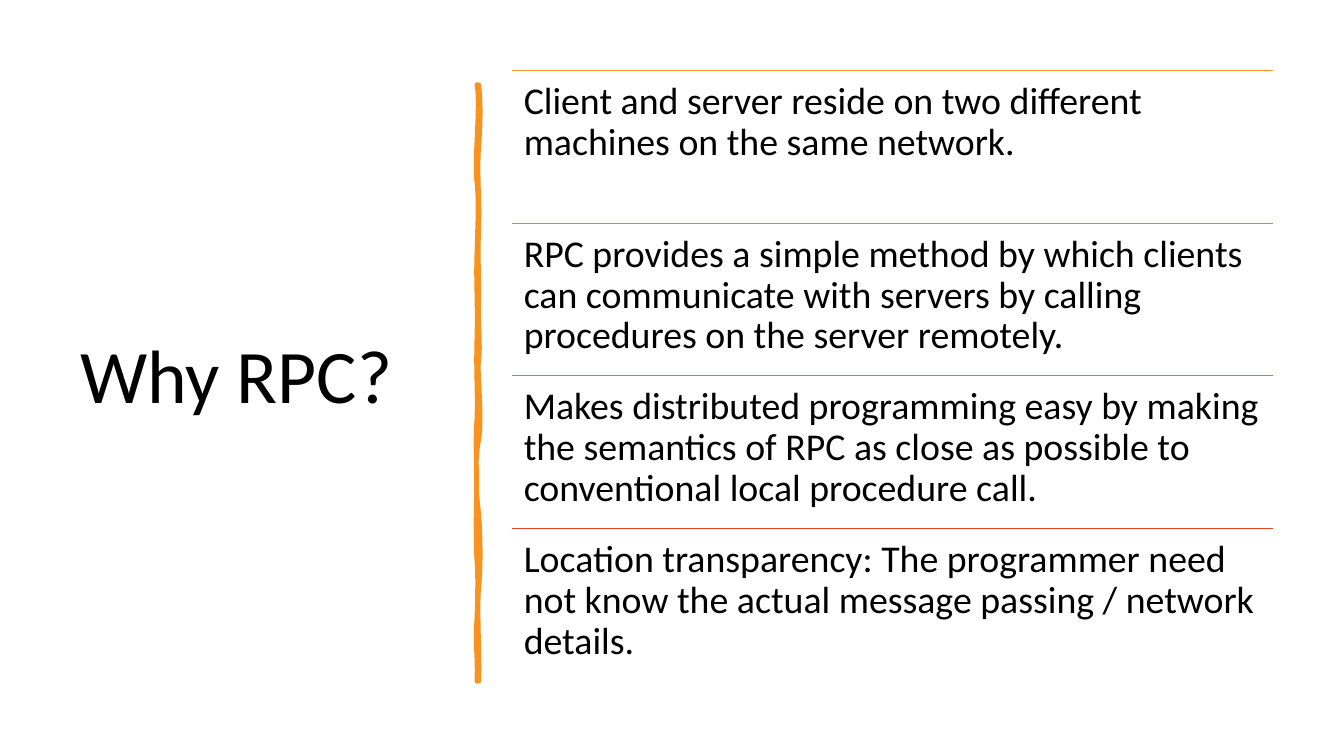
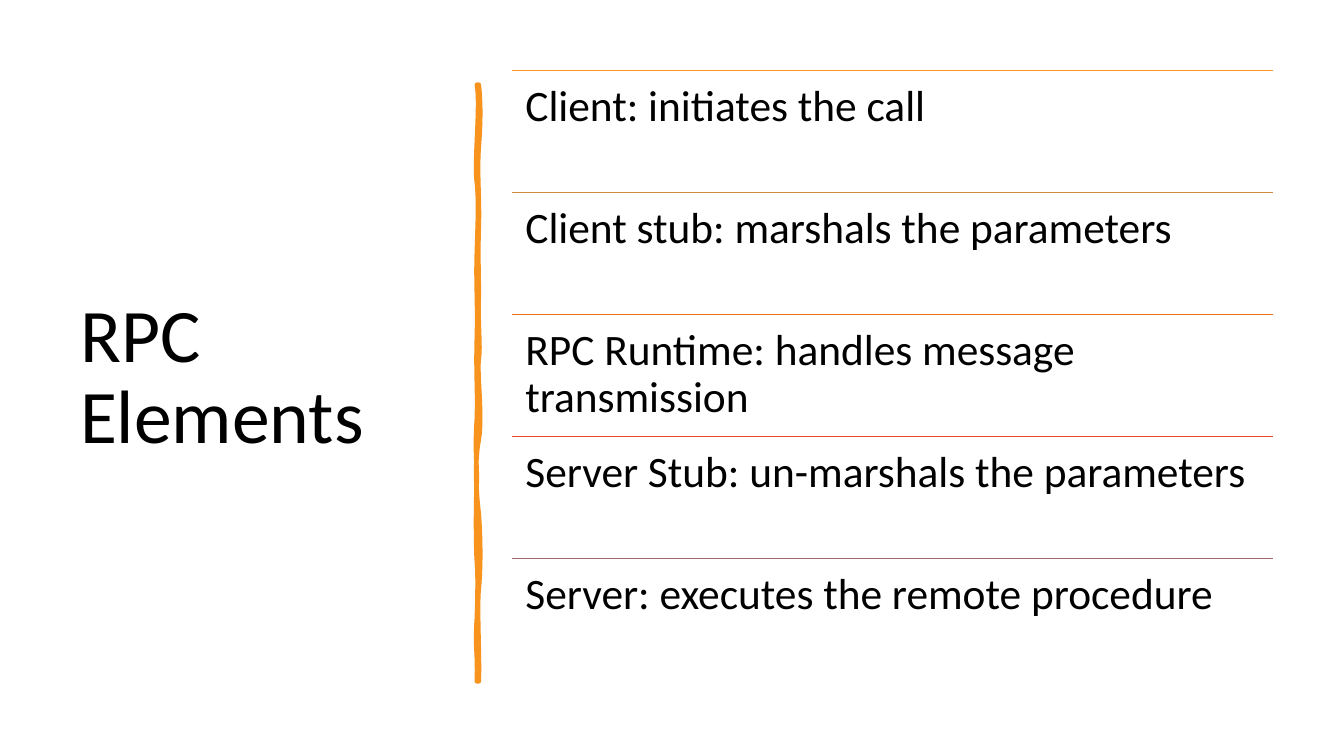
from dataclasses import dataclass

from lxml import etree
from pptx import Presentation
from pptx.dml.color import RGBColor
from pptx.enum.shapes import MSO_CONNECTOR
from pptx.enum.text import MSO_ANCHOR, MSO_AUTO_SIZE, PP_ALIGN
from pptx.oxml.ns import qn
from pptx.util import Pt

STRAIGHT = MSO_CONNECTOR.STRAIGHT
TOP, MIDDLE = MSO_ANCHOR.TOP, MSO_ANCHOR.MIDDLE
NO_AUTOFIT = MSO_AUTO_SIZE.NONE
LEFT = PP_ALIGN.LEFT
TITLE_ONLY = 5


@dataclass(frozen=True)
class Theme:
    font: str = "Calibri"
    text: RGBColor = RGBColor.from_string("000000")
    background: RGBColor = RGBColor.from_string("FFFFFF")
    accent: RGBColor = RGBColor.from_string("F8931D")
    rules: tuple = ("F8931D", "CE8D3E", "EC7016", "E64823", "9C6A6A")
    title_size: float = 54
    line_spacing: float = 0.9
    rule_width: float = 1
    brush_width: float = 3.25


THEME = Theme()

# Layout, in points
SLIDE_WIDTH, SLIDE_HEIGHT = 960, 540
TITLE_BOX = (50, 50.4, 269.3, 439.9)
LIST_LEFT, LIST_TOP, LIST_WIDTH, LIST_HEIGHT = 366, 50.5, 543.6, 435.8
INSET_PER_SIZE = 0.3

# Brush stroke: start, then Bezier curves (two controls and an end), in points
BRUSH_START = (342, 60.5)
BRUSH_CURVES = (
    # Down the right edge
    ((343.4, 73.4), (343.4, 85.7), (342, 105.1)),
    ((340.6, 124.6), (342.7, 140.4), (342, 162.7)),
    ((341.3, 185), (342, 188.6), (342, 211.7)),
    ((341.3, 234), (343.4, 246.2), (342, 256.3)),
    ((340.6, 266.4), (344.9, 298.1), (342, 313.9)),
    ((339.1, 329), (339.8, 348.5), (342, 367.2)),
    ((343.4, 385.9), (343.4, 406.1), (342, 420.5)),
    ((340.6, 434.2), (342.7, 468), (342, 486.7)),
    # Up the left edge
    ((341.3, 486.7), (340.6, 486.7), (340.6, 486.7)),
    ((341.3, 465.1), (339.1, 463.7), (340.6, 441.4)),
    ((341.3, 419.8), (341.3, 410.4), (340.6, 401)),
    ((339.8, 391.7), (339.8, 356.4), (340.6, 343.4)),
    ((340.6, 330.5), (339.1, 320.4), (340.6, 298.8)),
    ((341.3, 277.9), (339.8, 268.6), (340.6, 241.2)),
    ((341.3, 214.6), (339.8, 202.3), (340.6, 180)),
    ((341.3, 157), (342, 144), (340.6, 130.3)),
    ((338.4, 117.4), (343.4, 74.9), (340.6, 60.5)),
)

# Content: title, text size, list items
SLIDES = (
    ("Why RPC?", 27, (
        "Client and server reside on two different machines on the same network.",
        "RPC provides a simple method by which clients can communicate with "
        "servers by calling procedures on the server remotely.",
        "Makes distributed programming easy by making the semantics of RPC as "
        "close as possible to conventional local procedure call.",
        "Location transparency: The programmer need not know the actual message "
        "passing / network details.",
    )),
    ("RPC Elements", 31, (
        "Client: initiates the call",
        "Client stub: marshals the parameters",
        "RPC Runtime: handles message transmission",
        "Server Stub: un-marshals the parameters",
        "Server: executes the remote procedure",
    )),
)


def write_text(shape, text, size, anchor):
    """Fill a shape with one left-aligned paragraph in the theme font."""
    frame = shape.text_frame
    frame.text = text
    frame.word_wrap = True
    frame.auto_size = NO_AUTOFIT
    frame.vertical_anchor = anchor
    paragraph = frame.paragraphs[0]
    paragraph.alignment = LEFT
    paragraph.line_spacing = THEME.line_spacing
    paragraph.font.name = THEME.font
    paragraph.font.size = Pt(size)
    paragraph.font.color.rgb = THEME.text
    return frame


def add_title(slide, text):
    title = slide.shapes.title
    title.left, title.top, title.width, title.height = map(Pt, TITLE_BOX)
    write_text(title, text, THEME.title_size, MIDDLE)


def bend_segments(shape, curves):
    """Turn the straight segments of a freeform into Bezier curves."""
    segments = list(shape._element.iter(qn("a:lnTo")))
    for segment, (first, second, _) in zip(segments, curves):
        segment.tag = qn("a:cubicBezTo")
        for position, (x, y) in enumerate((first, second)):
            control = etree.Element(qn("a:pt"))
            control.set("x", str(Pt(x) - shape.left))
            control.set("y", str(Pt(y) - shape.top))
            segment.insert(position, control)


def add_brush_stroke(slide):
    builder = slide.shapes.build_freeform(*map(Pt, BRUSH_START))
    ends = [tuple(map(Pt, end)) for _, _, end in BRUSH_CURVES]
    builder.add_line_segments(ends, close=False)
    builder.add_line_segments([], close=True)
    brush = builder.convert_to_shape()
    bend_segments(brush, BRUSH_CURVES)
    brush.shadow.inherit = False
    brush.fill.solid()
    brush.fill.fore_color.rgb = THEME.accent
    brush.line.color.rgb = THEME.accent
    brush.line.width = Pt(THEME.brush_width)
    outline = brush._element.spPr.find(qn("a:ln"))
    etree.SubElement(outline, qn("a:round"))


def add_rule(slide, top, color):
    rule = slide.shapes.add_connector(
        STRAIGHT, Pt(LIST_LEFT), Pt(top), Pt(LIST_LEFT + LIST_WIDTH), Pt(top))
    rule.line.color.rgb = RGBColor.from_string(color)
    rule.line.width = Pt(THEME.rule_width)
    etree.SubElement(rule._element.spPr, qn("a:effectLst"))


def add_ruled_list(slide, items, size):
    """Stack items in equal rows, each under a coloured rule."""
    row_height = LIST_HEIGHT / len(items)
    inset = Pt(INSET_PER_SIZE * size)
    for row, (item, color) in enumerate(zip(items, THEME.rules)):
        top = LIST_TOP + row * row_height
        add_rule(slide, top, color)
        box = slide.shapes.add_textbox(
            Pt(LIST_LEFT), Pt(top), Pt(LIST_WIDTH), Pt(row_height))
        frame = write_text(box, item, size, TOP)
        frame.margin_left = frame.margin_right = inset
        frame.margin_top = frame.margin_bottom = inset


def main():
    presentation = Presentation()
    presentation.slide_width = Pt(SLIDE_WIDTH)
    presentation.slide_height = Pt(SLIDE_HEIGHT)
    background = presentation.slide_master.background.fill
    background.solid()
    background.fore_color.rgb = THEME.background
    layout = presentation.slide_layouts[TITLE_ONLY]
    for title, size, items in SLIDES:
        slide = presentation.slides.add_slide(layout)
        add_title(slide, title)
        add_brush_stroke(slide)
        add_ruled_list(slide, items, size)
    presentation.save("out.pptx")


if __name__ == "__main__":
    main()
